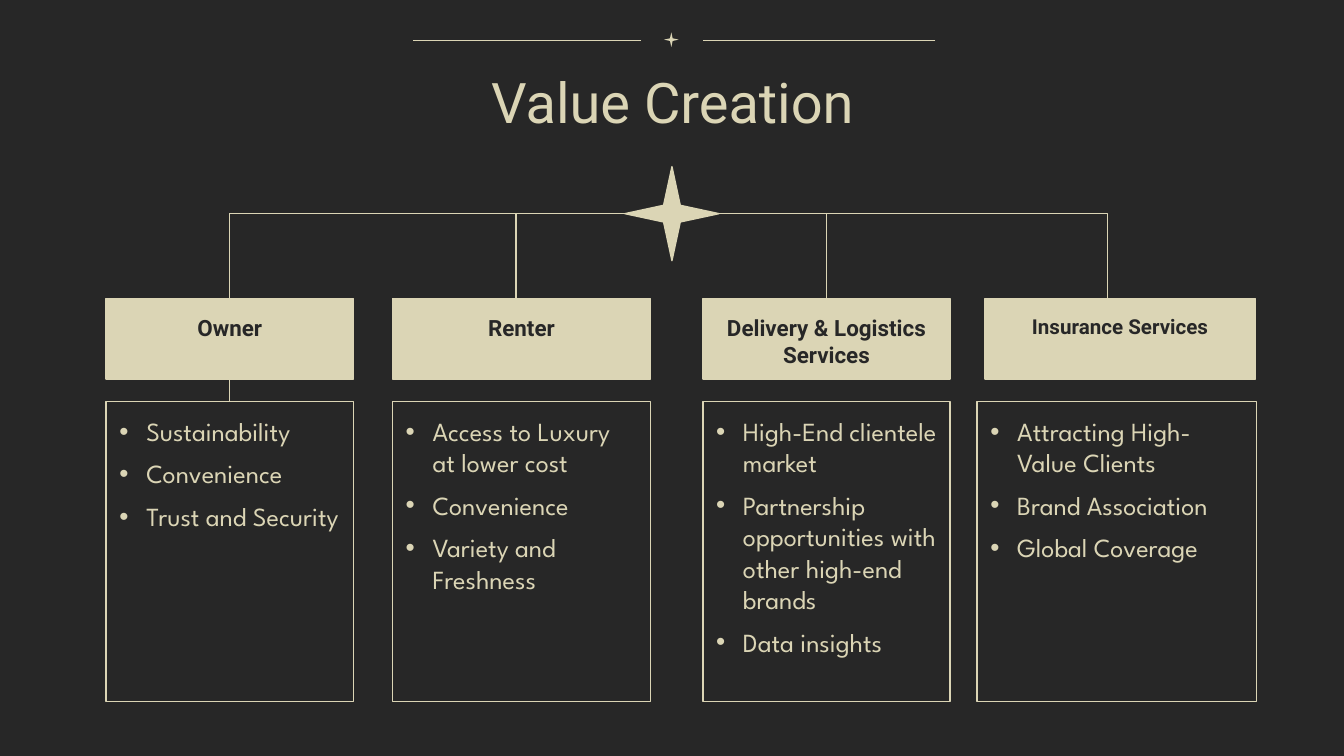
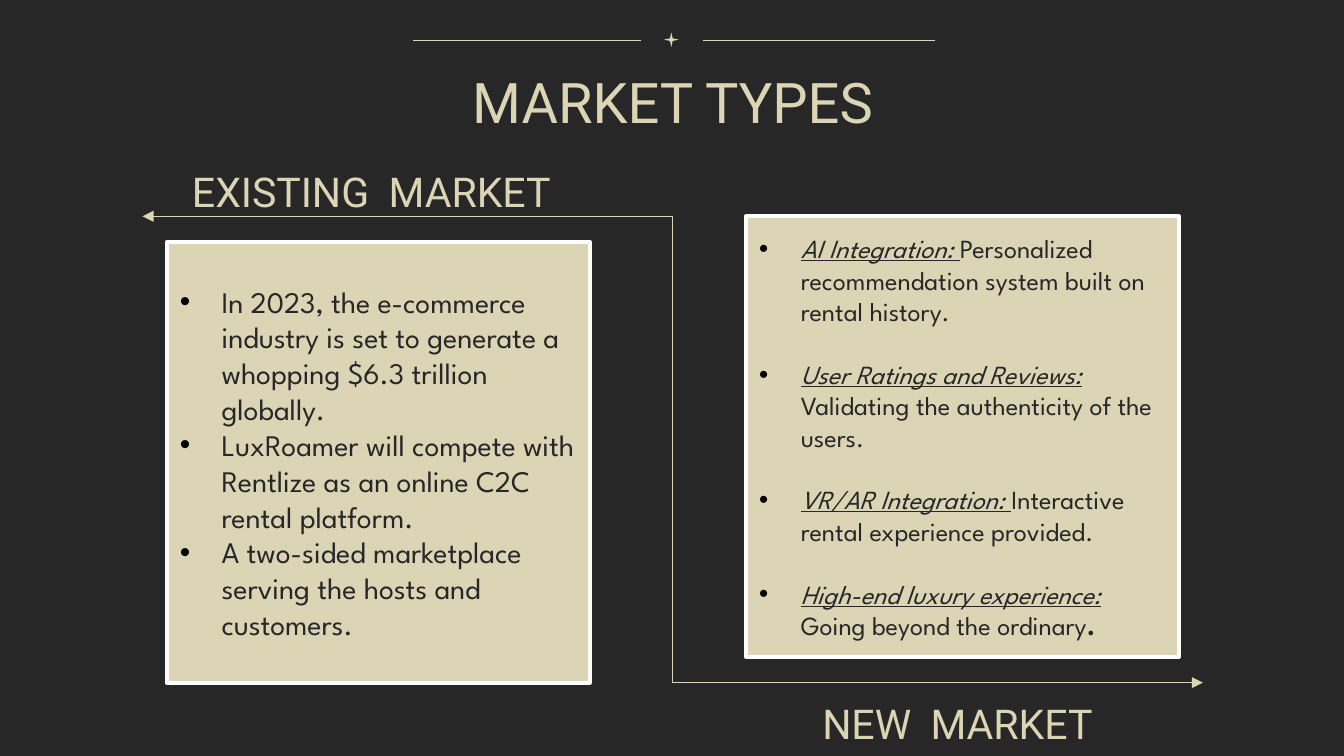
import pptx
import pptx.util
import pptx.dml.color
import pptx.enum.shapes
import pptx.enum.text
import pptx.oxml
import pptx.oxml.ns
import lxml.etree

Inches, Pt = pptx.util.Inches, pptx.util.Pt
SHAPE = pptx.enum.shapes.MSO_SHAPE
CONNECTOR = pptx.enum.shapes.MSO_CONNECTOR
ALIGN = pptx.enum.text.PP_ALIGN
ANCHOR = pptx.enum.text.MSO_ANCHOR

COLORS = {"dark": "272727", "sand": "DBD5B5", "white": "FFFFFF", "black": "000000"}
HEADING_FONT, BODY_FONT = "Roboto", "League Spartan"
SLIDE_WIDTH = 10
BRANCH_Y = 1.59

# Audience, left edge, width, body left, body width, branch x, label size, benefits
AUDIENCES = [
    ("Owner", 0.79, 1.84, 0.79, 1.84, 1.71, 12,
     ["Sustainability", "Convenience", "Trust and Security"]),
    ("Renter", 2.92, 1.92, 2.92, 1.92, 3.84, 12,
     ["Access to Luxury at lower cost", "Convenience", "Variety and Freshness"]),
    ("Delivery & Logistics Services", 5.23, 1.84, 5.23, 1.84, 6.15, 12,
     ["High-End clientele market",
      "Partnership opportunities with other high-end brands", "Data insights"]),
    ("Insurance Services", 7.33, 2.01, 7.27, 2.08, 8.24, 11,
     ["Attracting High-Value Clients", "Brand Association", "Global Coverage"]),
]

EXISTING_MARKET = [
    "In 2023, the e-commerce industry is set to generate a whopping $6.3 trillion globally.",
    "LuxRoamer will compete with Rentlize as an online C2C rental platform.",
    "A two-sided marketplace serving the hosts and customers.",
]

# Feature, description, bold ending
NEW_MARKET = [
    ("AI Integration: ", "Personalized recommendation system built on rental history.", ""),
    ("User Ratings and Reviews: ", "Validating the authenticity of the users.", ""),
    ("VR/AR Integration: ", "Interactive rental experience provided.", ""),
    ("High-end luxury experience: ", "Going beyond the ordinary", "."),
]


def rgb(color):
    return pptx.dml.color.RGBColor.from_string(COLORS[color])


def add_child(parent, tag, **attributes):
    child = lxml.etree.SubElement(parent, pptx.oxml.ns.qn(tag))
    for name, value in attributes.items():
        child.set(name, str(value))
    return child


def format_runs(paragraph, size, font, color, bold=False):
    for run in paragraph.runs:
        run.font.size = Pt(size)
        run.font.name = font
        run.font.bold = bold
        run.font.color.rgb = rgb(color)


def set_bullet(paragraph, indent, color):
    properties = paragraph._p.get_or_add_pPr()
    properties.set("marL", str(Inches(indent)))
    properties.set("indent", str(-Inches(indent)))
    add_child(add_child(properties, "a:buClr"), "a:srgbClr", val=COLORS[color])
    add_child(properties, "a:buFont", typeface="Arial")
    add_child(properties, "a:buChar", char="•")


def add_paragraphs(frame, count):
    return [frame.paragraphs[0]] + [frame.add_paragraph() for _ in range(count - 1)]


def add_panel(slide, box, fill=None, line=None, line_width=0.75, shape=SHAPE.RECTANGLE):
    panel = slide.shapes.add_shape(shape, *map(Inches, box))
    panel.shadow.inherit = False
    if fill:
        panel.fill.solid()
        panel.fill.fore_color.rgb = rgb(fill)
    else:
        panel.fill.background()
    if line:
        panel.line.color.rgb = rgb(line)
        panel.line.width = Pt(line_width)
    else:
        panel.line.fill.background()
    return panel


def prepare_frame(shape, top=0.1, bottom=0.1, anchor=ANCHOR.TOP):
    frame = shape.text_frame
    frame.word_wrap = True
    frame.margin_top, frame.margin_bottom = Inches(top), Inches(bottom)
    frame.vertical_anchor = anchor
    return frame


def add_star(slide, box, line=None):
    star = add_panel(slide, box, "sand", line, shape=SHAPE.STAR_4_POINT)
    star.adjustments[0] = 0.125


def add_line(slide, start, end, kind=CONNECTOR.STRAIGHT, arrows=False):
    line = slide.shapes.add_connector(kind, *map(Inches, start + end))
    line.line.color.rgb = rgb("sand")
    line.line.width = Pt(0.75)
    if arrows:
        for tag in ("a:headEnd", "a:tailEnd"):
            add_child(line.line._get_or_add_ln(), tag, type="triangle")
    add_child(line._element.spPr, "a:effectLst")
    return line


def add_branch(slide, start, end):
    """A line that runs sideways, then turns down once."""
    branch = add_line(slide, start, end, CONNECTOR.ELBOW)
    branch._element.spPr.find(pptx.oxml.ns.qn("a:prstGeom")).set("prst", "bentConnector2")


def add_titled_slide(deck, title):
    slide = deck.slides.add_slide(deck.slide_layouts[6])
    # Ornament above the title
    add_star(slide, (4.94, 0.24, 0.11, 0.11))
    add_line(slide, (4.77, 0.3), (3.07, 0.3))
    add_line(slide, (6.96, 0.3), (5.23, 0.3))
    # Title
    heading = slide.shapes.add_textbox(*map(Inches, (0.79, 0.4, 8.43, 0.6)))
    frame = prepare_frame(heading)
    frame.text = title
    frame.paragraphs[0].alignment = ALIGN.CENTER
    format_runs(frame.paragraphs[0], 30, HEADING_FONT, "sand")
    return slide


def add_audience_label(slide, box, label, size):
    frame = prepare_frame(add_panel(slide, box, "sand", "sand"), top=0.12)
    frame.text = label
    frame.paragraphs[0].alignment = ALIGN.CENTER
    format_runs(frame.paragraphs[0], size, HEADING_FONT, "dark", bold=True)


def add_bullets(frame, items, size, color, bullet_color, indent, space_after=0):
    for paragraph, item in zip(add_paragraphs(frame, len(items)), items):
        paragraph.text = item
        paragraph.alignment = ALIGN.LEFT
        paragraph.space_after = Pt(space_after)
        set_bullet(paragraph, indent, bullet_color)
        format_runs(paragraph, size, BODY_FONT, color)


def add_features(frame, features):
    for index, paragraph in enumerate(add_paragraphs(frame, len(features))):
        paragraph.alignment = ALIGN.LEFT
        if index:
            paragraph.space_before = Pt(16.8)
        set_bullet(paragraph, 0.31, "black")
        name, description, ending = features[index]
        for part in filter(None, (name, description, ending)):
            paragraph.add_run().text = part
        format_runs(paragraph, 14, BODY_FONT, "dark")
        paragraph.runs[0].font.italic = True
        paragraph.runs[0].font.underline = True
        if ending:
            paragraph.runs[-1].font.bold = True


def add_market_heading(slide, box, words, indent):
    frame = prepare_frame(slide.shapes.add_textbox(*map(Inches, box)), 0.05, 0.05)
    paragraph = frame.paragraphs[0]
    paragraph._p.get_or_add_pPr().set("marL", str(Inches(indent)))
    first, second = words
    for part in (first, " ", second):
        paragraph.add_run().text = part
    format_runs(paragraph, 22, HEADING_FONT, "sand")
    # Widen the gap between the two words
    paragraph.runs[1].font._element.set("spc", "500")


def build_value_creation(deck):
    slide = add_titled_slide(deck, "Value Creation")
    # Tree from the star down to the audiences
    add_star(slide, (4.65, 1.24, 0.7, 0.7), "sand")
    label_top, label_height, body_top = 2.22, 0.6, 2.99
    branch_xs = [audience[5] for audience in AUDIENCES]
    add_branch(slide, (4.65, BRANCH_Y), (branch_xs[0], label_top))
    add_branch(slide, (5.35, BRANCH_Y), (branch_xs[-1], label_top))
    for x in branch_xs[1:-1]:
        add_line(slide, (x, BRANCH_Y), (x, label_top))
    add_line(slide, (branch_xs[0], label_top + label_height), (branch_xs[0], body_top))
    # Label and benefits of each audience
    for label, left, width, body_left, body_width, _, size, benefits in AUDIENCES:
        add_audience_label(slide, (left, label_top, width, label_height), label, size)
        body = add_panel(slide, (body_left, body_top, body_width, 2.23), line="sand")
        add_bullets(prepare_frame(body), benefits, 14, "sand", "sand", 0.2, space_after=6)


def build_market_types(deck):
    slide = add_titled_slide(deck, "MARKET TYPES")
    # Existing and new market panels
    existing = add_panel(slide, (1.24, 1.8, 3.15, 3.28), "sand", "white", 2)
    add_bullets(prepare_frame(existing, 0.05, 0.05, ANCHOR.MIDDLE),
                EXISTING_MARKET, 16, "dark", "black", 0.31)
    new = add_panel(slide, (5.55, 1.61, 3.22, 3.28), "sand", "white", 2)
    add_features(prepare_frame(new, 0.05, 0.05, ANCHOR.MIDDLE), NEW_MARKET)
    # Divider with an arrow to each market
    add_line(slide, (1.06, 1.61), (8.95, 5.08), CONNECTOR.ELBOW, arrows=True)
    add_market_heading(slide, (0.65, 1.19, 4.15, 0.47), ("EXISTING", "MARKET"), 0.68)
    add_market_heading(slide, (5.02, 5.15, 3.94, 0.47), ("NEW", "MARKET"), 1)


def main():
    deck = pptx.Presentation()
    deck.slide_width = Inches(SLIDE_WIDTH)
    deck.slide_height = Inches(SLIDE_WIDTH * 9 / 16)
    background = deck.slide_master.background.fill
    background.solid()
    background.fore_color.rgb = rgb("dark")
    build_value_creation(deck)
    build_market_types(deck)
    deck.save("out.pptx")


if __name__ == "__main__":
    main()
